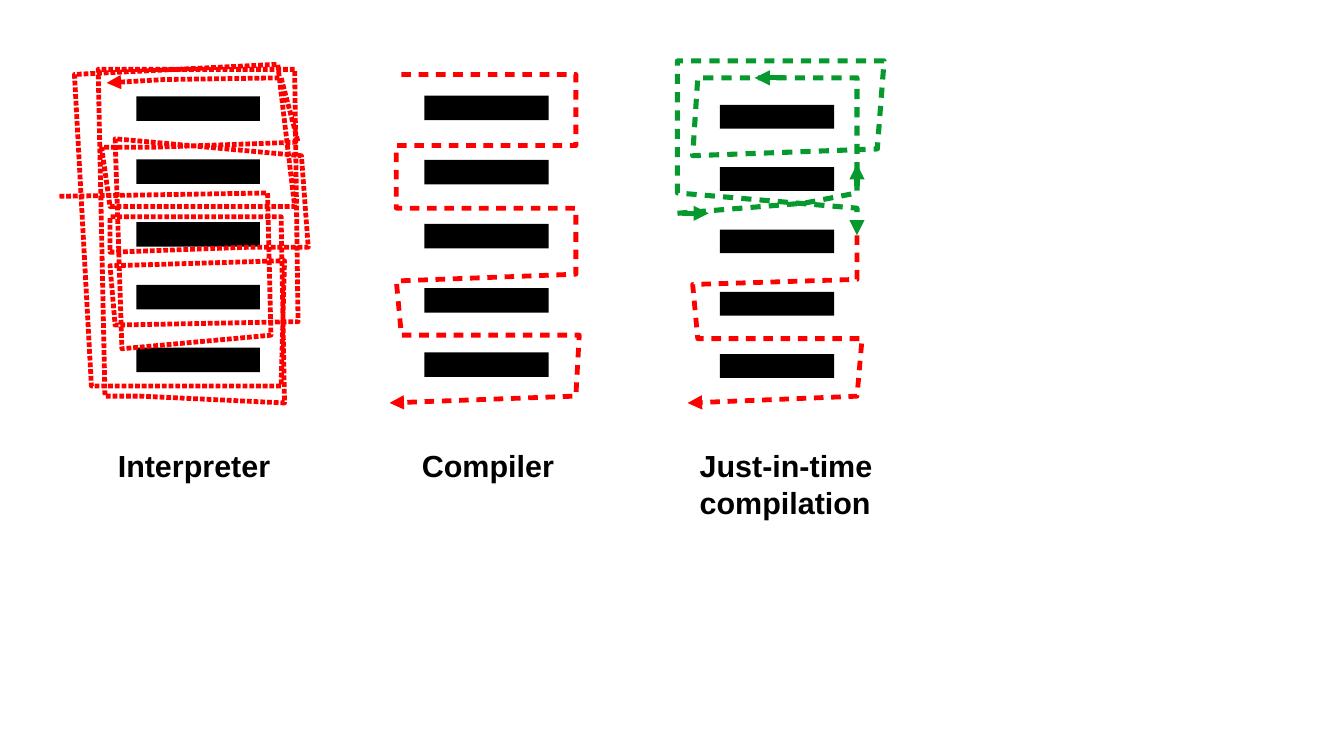
from lxml import etree
from pptx import Presentation
from pptx.dml.color import RGBColor
from pptx.enum import shapes, text
from pptx.oxml import ns
from pptx.util import Pt

BLACK = RGBColor(0x00, 0x00, 0x00)
RED = RGBColor(0xFF, 0x00, 0x00)
GREEN = RGBColor(0x06, 0x9A, 0x2E)

SIZE = (793.5, 446.5)
BAR_COUNT = 5
DOTS = (100000, 40000)
DASHES = (200000, 160000)
INSETS = {"margin_left": Pt(7.2), "margin_right": Pt(7.2),
          "margin_top": Pt(3.6), "margin_bottom": Pt(3.6),
          "word_wrap": True, "vertical_anchor": text.MSO_ANCHOR.TOP}
LABEL_FONT = {"name": "Arial", "size": Pt(18), "bold": True}

INTERPRETER_ROUTE = [
    (63, 49), (97, 47), (165.5, 46), (176, 84), (91, 87), (60, 87),
    (65, 122), (173.5, 122), (163.5, 38), (44.5, 44), (54.5, 227.5),
    (165.5, 227.5), (168.5, 154), (65, 157), (67.5, 192), (176, 189.5),
    (173.5, 41), (57.5, 41), (62.5, 234.5), (83, 234.5), (168.5, 238.5),
    (165.5, 127.5), (65, 127.5), (65, 149), (147.5, 145.5), (181.5, 146),
    (178.5, 92), (67.5, 81.5), (72.5, 206), (160.5, 197.5),
    (158.5, 114), (34, 116.5)]
COMPILER_ROUTE = [
    (237, 44), (340, 44), (340, 86.5), (233.5, 86.5), (233.5, 123),
    (340, 123), (340, 162), (233.5, 165.5), (237, 198.5),
    (342.5, 198.5), (340, 234.5), (230.5, 238.5)]
JIT_ROUTE = [
    (506, 139), (506, 165), (409, 168), (412, 199.5), (509, 199.5),
    (506, 234.5), (406, 238.5)]
JIT_LOOP = [
    (399.5, 126), (475, 120), (506, 114), (506, 46), (412, 46),
    (409, 91.5), (518.5, 88), (521.5, 36.5), (399.5, 36.5),
    (399.5, 114), (506, 123), (506, 139)]
JIT_ARROWS = [((463.5, 46), (445.5, 46)),
              ((402.5, 126), (418.5, 126)),
              ((506, 110), (506, 97))]

PANELS = [
    {"label": "Interpreter", "box": (62.5, 260.5, 107.5, 31.5),
     "bar": (80.5, 57, 73, 14.5), "pitch": 37.1, "arrows": [],
     "routes": [(INTERPRETER_ROUTE, RED, 2.83, DOTS, "headEnd")]},
    {"label": "Compiler", "box": (242, 260.5, 96, 31.5),
     "bar": (250.5, 56.5, 73.5, 14.5), "pitch": 37.9, "arrows": [],
     "routes": [(COMPILER_ROUTE, RED, 2.83, DASHES, "tailEnd")]},
    {"label": "Just-in-time compilation", "box": (406, 260.5, 121, 47.5),
     "bar": (425, 62, 67.5, 14), "pitch": 36.8, "arrows": JIT_ARROWS,
     "routes": [(JIT_ROUTE, RED, 2.83, DASHES, "tailEnd"),
                (JIT_LOOP, GREEN, 3, DASHES, "tailEnd")]},
]


def style_line(sp, color, width, dash, end):
    sp.line.color.rgb = color
    sp.line.width = Pt(width)
    ln = sp.element.spPr.find(ns.qn("a:ln"))
    if dash:
        cust = etree.SubElement(ln, ns.qn("a:custDash"))
        etree.SubElement(cust, ns.qn("a:ds"), d=str(dash[0]), sp=str(dash[1]))
    etree.SubElement(ln, ns.qn("a:" + end), type="triangle")


def add_bars(group, bar, pitch):
    left, top, width, height = bar
    for i in range(BAR_COUNT):
        sp = group.shapes.add_shape(
            shapes.MSO_SHAPE.RECTANGLE, Pt(left), Pt(top + i * pitch),
            Pt(width), Pt(height))
        sp.shadow.inherit = False
        sp.fill.solid()
        sp.fill.fore_color.rgb = BLACK
        sp.line.fill.background()


def add_route(group, points, *line):
    builder = group.shapes.build_freeform(*points[0], scale=float(Pt(1)))
    builder.add_line_segments(points[1:], close=False)
    sp = builder.convert_to_shape()
    sp.shadow.inherit = False
    sp.fill.background()
    style_line(sp, *line)


def add_arrow(group, start, end):
    sp = group.shapes.add_connector(
        shapes.MSO_CONNECTOR.STRAIGHT, *map(Pt, start + end))
    style_line(sp, GREEN, 3, None, "tailEnd")
    etree.SubElement(sp.element.spPr, ns.qn("a:effectLst"))


def add_label(s, label, box):
    tf = s.shapes.add_textbox(*map(Pt, box)).text_frame
    for name, value in INSETS.items():
        setattr(tf, name, value)
    r = tf.paragraphs[0].add_run()
    r.text = label
    for name, value in LABEL_FONT.items():
        setattr(r.font, name, value)
    r.font.color.rgb = BLACK


def main():
    prs = Presentation()
    prs.slide_width, prs.slide_height = map(Pt, SIZE)
    s = prs.slides.add_slide(prs.slide_layouts[6])
    for panel in PANELS:
        group = s.shapes.add_group_shape()
        add_bars(group, panel["bar"], panel["pitch"])
        for route in panel["routes"]:
            add_route(group, *route)
        for start, end in panel["arrows"]:
            add_arrow(group, start, end)
        add_label(s, panel["label"], panel["box"])
    prs.save("out.pptx")


if __name__ == "__main__":
    main()
